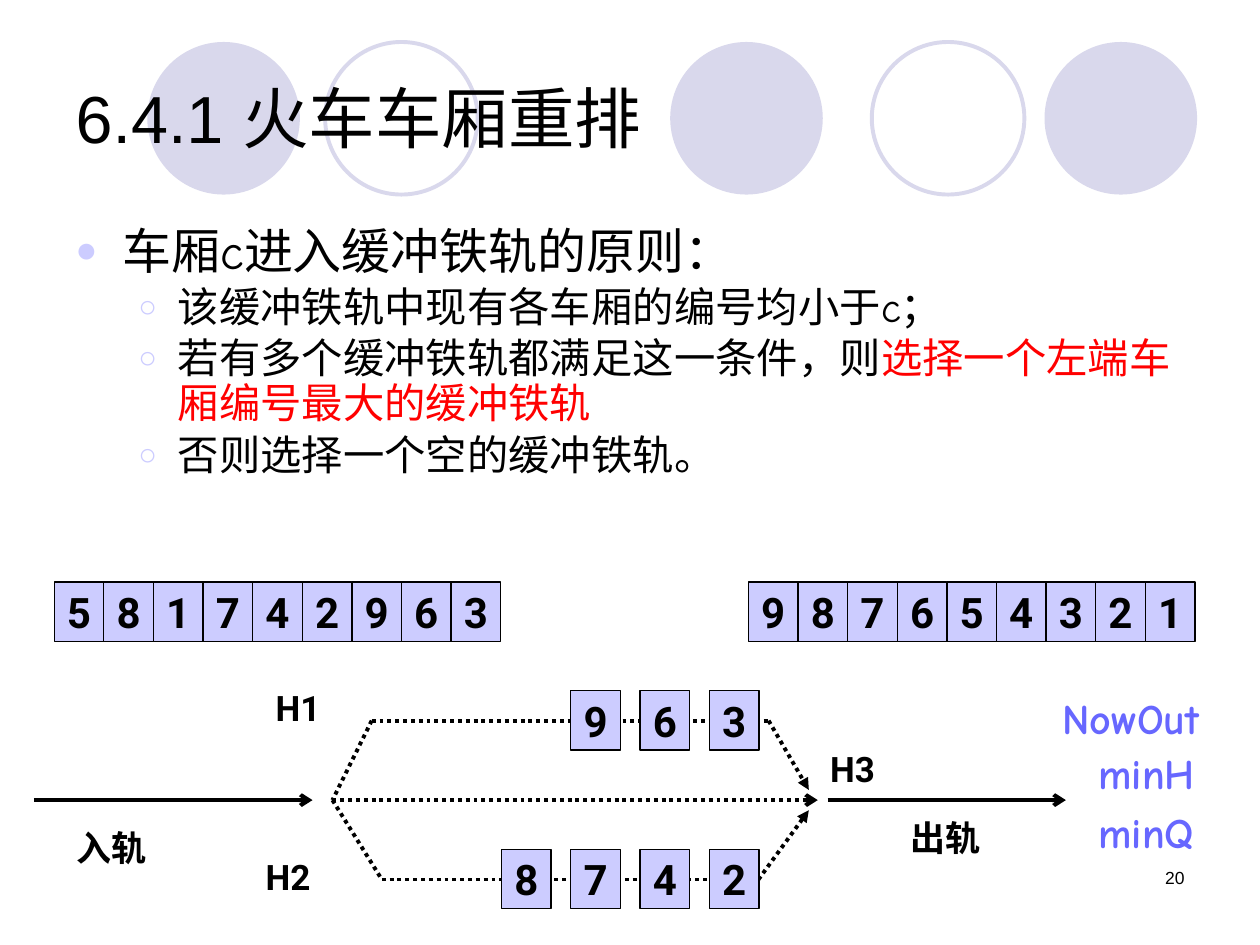
from typing import NamedTuple

from lxml.etree import SubElement
from pptx import Presentation
from pptx.dml.color import RGBColor
from pptx.enum.dml import MSO_LINE
from pptx.enum.shapes import MSO_CONNECTOR, MSO_SHAPE
from pptx.enum.text import MSO_ANCHOR, PP_ALIGN
from pptx.oxml.ns import qn
from pptx.util import Pt

BLACK, WHITE, RED = "000000", "FFFFFF", "FF0000"
LILAC, PALE, VIOLET = "CCCCFF", "D9D8EC", "6767FF"
CIRCLE = 87.2
CAR_WIDTH, CAR_HEIGHT = 28.35, 34


class Circle(NamedTuple):
    left: float
    solid: bool


class Train(NamedTuple):
    numbers: str
    left: float
    top: float
    pitch: float = CAR_WIDTH


class Track(NamedTuple):
    start: tuple[float, float]
    end: tuple[float, float]
    arrow: str = ""
    dotted: bool = True


class Label(NamedTuple):
    text: str
    left: float
    top: float
    width: float
    height: float = 31
    size: float = 20
    font: str = "Roboto"
    color: str = BLACK
    bold: bool = True
    fill: str = ""
    align: PP_ALIGN = PP_ALIGN.LEFT


class Rule(NamedTuple):
    level: int
    phrases: list[tuple[str, str]]


CIRCLES = [Circle(383, True), Circle(596.9, True), Circle(84.2, True),
           Circle(498.2, False), Circle(185.8, False)]

FORK, MERGE = (190, 457.2), (467.3, 457.2)
UPPER, LOWER = 411.8, 502.6
TRACKS = [
    Track((19.4, 457.2), (178.6, 457.2), "arrow", dotted=False),
    Track((473, 457.2), (609.1, 457.2), "arrow", dotted=False),
    Track(FORK, MERGE, "arrow"),
    Track((212.4, UPPER), (439.2, UPPER)),
    Track((212.4, UPPER), FORK),
    Track((439.2, UPPER), (462.2, 451.4), "triangle"),
    Track(FORK, (218.2, LOWER)),
    Track((218.2, LOWER), (433.4, LOWER)),
    Track((433.4, LOWER), (462.2, 463), "triangle"),
]

TRAINS = [
    Train("581742963", 31, 332.6),
    Train("987654321", 427.7, 332.6),
    Train("963", 326.2, 394.6, 39.6),
    Train("8742", 286.6, 485.3, 39.6),
]

HAND = {"size": 24, "font": "Comic Neue", "color": VIOLET, "height": 36}
LABELS = [
    Label("入轨", 36.7, 468.7, 56.9),
    Label("出轨", 513.4, 463, 56.9),
    Label("H1", 150.5, 388.8, 45.4, fill=WHITE),
    Label("H3", 467.3, 423.4, 45.4, fill=WHITE),
    Label("H2", 144.7, 485.3, 45.4, fill=WHITE),
    Label("NowOut", 599.8, 392.4, 105.8, **HAND),
    Label("minH", 620.6, 423.4, 73.4, **HAND),
    Label("minQ", 620.6, 457.2, 73.4, **HAND),
    Label("20", 516.2, 491.8, 167.8, 36, size=10, font="Arial", bold=False,
          align=PP_ALIGN.RIGHT),
]

RULES = [
    Rule(0, [("车厢c进入缓冲铁轨的原则：", BLACK)]),
    Rule(1, [("该缓冲铁轨中现有各车厢的编号均小于c；", BLACK)]),
    Rule(1, [("若有多个缓冲铁轨都满足这一条件，则", BLACK),
             ("选择一个左端车厢编号最大的缓冲铁轨", RED)]),
    Rule(1, [("否则选择一个空的缓冲铁轨。", BLACK)]),
]


def rgb(color: str) -> RGBColor:
    return RGBColor.from_string(color)


def add_text(paragraph, text: str, *, size: float, font: str = "Roboto",
             color: str = BLACK, bold: bool = False,
             align: PP_ALIGN = PP_ALIGN.LEFT) -> None:
    paragraph.alignment = align
    run = paragraph.add_run()
    run.text = text
    run.font.size = Pt(size)
    run.font.name = font
    run.font.bold = bold
    run.font.color.rgb = rgb(color)


def add_circle(slide, circle: Circle) -> None:
    shape = slide.shapes.add_shape(MSO_SHAPE.OVAL, Pt(circle.left), Pt(24),
                                   Pt(CIRCLE), Pt(CIRCLE))
    shape.shadow.inherit = False
    if circle.solid:
        shape.fill.solid()
        shape.fill.fore_color.rgb = rgb(PALE)
        shape.line.fill.background()
    else:
        shape.fill.background()
        shape.line.color.rgb = rgb(PALE)
        shape.line.width = Pt(2.25)


def add_title(slide, text: str) -> None:
    """Fill the title and bring it in front of the circles."""
    title = slide.shapes.title
    title.left, title.top, title.width, title.height = Pt(36), Pt(21.6), Pt(648), Pt(90)
    title.text_frame.vertical_anchor = MSO_ANCHOR.MIDDLE
    add_text(title.text_frame.paragraphs[0], text, size=38, font="Arial")
    title.element.getparent().append(title.element)


def set_bullet(paragraph, character: str, margin: float, indent: float) -> None:
    properties = paragraph._p.get_or_add_pPr()
    properties.set("marL", str(Pt(margin)))
    properties.set("indent", str(Pt(-indent)))
    color = SubElement(properties, qn("a:buClr"))
    SubElement(color, qn("a:srgbClr"), val=LILAC)
    SubElement(properties, qn("a:buSzPct"), val="75000")
    SubElement(properties, qn("a:buFont"), typeface="Arial")
    SubElement(properties, qn("a:buChar"), char=character)


def add_rules(slide, rules: list[Rule]) -> None:
    frame = slide.shapes.add_textbox(Pt(36), Pt(126), Pt(648), Pt(180)).text_frame
    frame.word_wrap = True
    for index, rule in enumerate(rules):
        paragraph = frame.add_paragraph() if index else frame.paragraphs[0]
        paragraph.level = rule.level
        paragraph.line_spacing = 0.9
        paragraph.space_before = Pt(4)
        set_bullet(paragraph, *[("●", 27, 27), ("○", 58.5, 22.5)][rule.level])
        for text, color in rule.phrases:
            add_text(paragraph, text, size=[28, 23.6][rule.level],
                     font="Comic Neue", color=color)


def add_track(slide, track: Track) -> None:
    line = slide.shapes.add_connector(MSO_CONNECTOR.STRAIGHT,
                                      *map(Pt, track.start + track.end))
    line.line.color.rgb = rgb(BLACK)
    line.line.width = Pt(2.25)
    if track.dotted:
        line.line.dash_style = MSO_LINE.ROUND_DOT
        line.line._ln.find(qn("a:prstDash")).set("val", "sysDot")
    if track.arrow:
        SubElement(line.line._ln, qn("a:tailEnd"), type=track.arrow)
    SubElement(line._element.spPr, qn("a:effectLst"))


def add_label(slide, label: Label) -> None:
    box = slide.shapes.add_textbox(Pt(label.left), Pt(label.top),
                                   Pt(label.width), Pt(label.height))
    box.text_frame.word_wrap = True
    if label.fill:
        box.fill.solid()
        box.fill.fore_color.rgb = rgb(label.fill)
    add_text(box.text_frame.paragraphs[0], label.text, size=label.size, font=label.font,
             color=label.color, bold=label.bold, align=label.align)


def add_train(slide, train: Train) -> None:
    for index, number in enumerate(train.numbers):
        car = slide.shapes.add_shape(
            MSO_SHAPE.RECTANGLE, Pt(train.left + index * train.pitch), Pt(train.top),
            Pt(CAR_WIDTH), Pt(CAR_HEIGHT))
        car.shadow.inherit = False
        car.fill.solid()
        car.fill.fore_color.rgb = rgb(LILAC)
        car.line.color.rgb = rgb(BLACK)
        car.line.width = Pt(0.75)
        car.text_frame.word_wrap = False
        car.text_frame.vertical_anchor = MSO_ANCHOR.MIDDLE
        add_text(car.text_frame.paragraphs[0], number, size=24, bold=True,
                 align=PP_ALIGN.CENTER)


def main() -> None:
    presentation = Presentation()
    presentation.slide_width, presentation.slide_height = Pt(720), Pt(540)
    slide = presentation.slides.add_slide(presentation.slide_layouts[5])
    for circle in CIRCLES:
        add_circle(slide, circle)
    add_title(slide, "6.4.1 火车车厢重排")
    add_rules(slide, RULES)
    for draw, items in ((add_track, TRACKS), (add_label, LABELS), (add_train, TRAINS)):
        for item in items:
            draw(slide, item)
    presentation.save("out.pptx")


if __name__ == "__main__":
    main()
